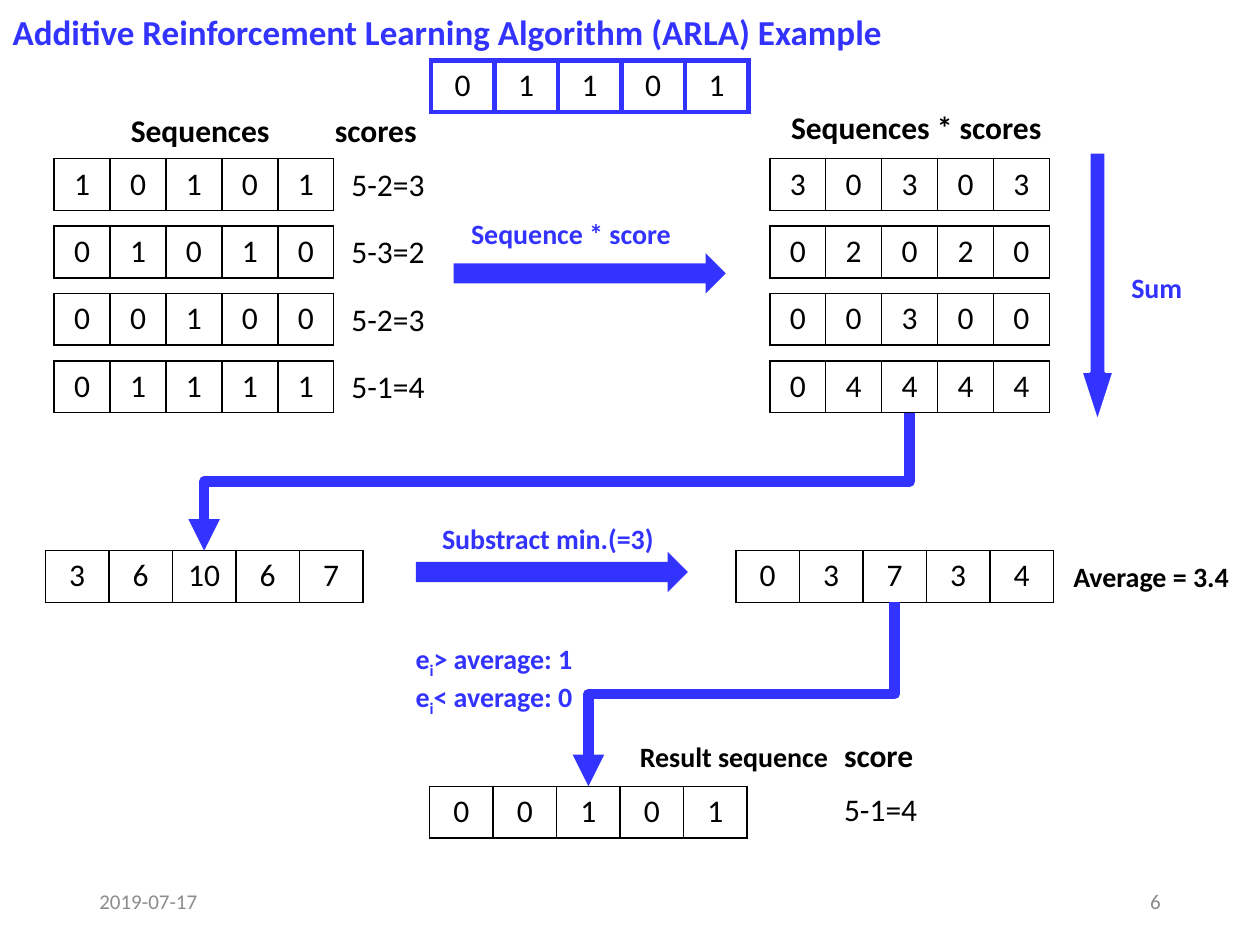
from lxml import etree
from pptx import Presentation
from pptx import util as u
from pptx.dml.color import RGBColor
from pptx.enum import shapes, text
from pptx.oxml import ns

BLUE = RGBColor(0x33, 0x33, 0xFF)
BLACK = RGBColor(0, 0, 0)
GRAY = RGBColor(0x8C, 0x8C, 0x8C)
WHITE = RGBColor(0xFF, 0xFF, 0xFF)

FONT = "Calibri"
ROW_H = 0.41
NARROW, WIDE = 2.22, 2.52  # widths of a five-bit sequence
FIRST_ROW, ROW_STEP = 1.26, 0.535
LEFT_COL, SCORE_COL, RIGHT_COL = 0.43, 2.69, 6.11
RESULT_COL, RESULT_ROW = 3.41, 6.24
MIDDLE_ROW = 4.37
SUM_COL, DIFF_COL = 0.36, 5.84

SEQUENCES = ["10101", "01010", "00100", "01111"]
SCORES = ["5-2=3", "5-3=2", "5-2=3", "5-1=4"]
PRODUCTS = ["30303", "02020", "00300", "04444"]


def sub(parent, tag, **attrs):
    return etree.SubElement(parent, ns.qn(tag), attrs)


def write(tf, content, size=18, color=BLACK, bold=False,
          align=text.PP_ALIGN.LEFT, anchor=text.MSO_ANCHOR.TOP, wrap=True):
    """Fill a text frame; every second part between bars is a subscript."""
    tf.word_wrap = wrap
    tf.vertical_anchor = anchor
    for i, line in enumerate(content.split("\n")):
        p = tf.add_paragraph() if i else tf.paragraphs[0]
        p.alignment = align
        for j, part in enumerate(line.split("|")):
            r = p.add_run()
            r.text = part
            f = r.font
            f.name, f.size, f.bold = FONT, u.Pt(size), bold
            f.color.rgb = color
            if j % 2:
                f._element.set("baseline", "-25000")


def add_label(s, content, x, y, w, h=0.4, **fmt):
    box = s.shapes.add_textbox(*map(u.Inches, (x, y, w, h)))
    write(box.text_frame, content, **fmt)


def set_borders(cell, color, width):
    tc_pr = cell._tc.get_or_add_tcPr()
    for side in "LRTB":
        ln = sub(tc_pr, f"a:ln{side}", w=str(u.Pt(width)))
        sub(sub(ln, "a:solidFill"), "a:srgbClr", val=str(color))


def add_sequence(s, values, x, y, w=WIDE, color=BLACK, border=1):
    frame = s.shapes.add_table(1, len(values), *map(u.Inches, (x, y, w, ROW_H)))
    table = frame.table
    table.first_row = table.horz_banding = False
    for col, value in enumerate(values):
        table.columns[col].width = u.Inches(w / len(values))
        cell = table.cell(0, col)
        set_borders(cell, color, border)
        cell.fill.background()
        write(cell.text_frame, value, align=text.PP_ALIGN.CENTER)


def add_block_arrow(s, x, y, w, h):
    sp = s.shapes.add_shape(shapes.MSO_SHAPE.RIGHT_ARROW,
                            *map(u.Inches, (x, y, w, h)))
    sp.shadow.inherit = False
    sp.fill.solid()
    sp.fill.fore_color.rgb = BLUE
    sp.line.fill.background()
    return sp


def add_sum_arrow(s):
    sp = add_block_arrow(s, 7.64, 2.15, 2.14, 0.26)
    sp.rotation = 90
    sp.adjustments[1] = 1.54
    sp.line.color.rgb = WHITE
    sp.line.width = u.Pt(1.5)


def add_drop_arrow(s, x1, y1, x2, y2):
    """Elbow that runs down, left and down again: a quarter-turned connector."""
    w, h = y2 - y1, x1 - x2
    left, top = (x1 + x2 - w) / 2, (y1 + y2 - h) / 2
    c = s.shapes.add_connector(shapes.MSO_CONNECTOR.ELBOW,
                               *map(u.Inches, (left, top, left + w, top + h)))
    c.line.color.rgb = BLUE
    c.line.width = u.Pt(6)
    sp_pr = c._element.spPr
    sp_pr.find(ns.qn("a:xfrm")).set("rot", str(90 * 60000))
    sub(sp_pr.find(ns.qn("a:ln")), "a:tailEnd", type="triangle")
    sub(sp_pr, "a:effectLst")


def add_title(s, content):
    title = s.shapes.title
    title.left, title.top, title.width, title.height = map(
        u.Inches, (0, 0.03, 7.16, 0.44))
    write(title.text_frame, content, size=20, color=BLUE, bold=True, wrap=False)
    title.text_frame.auto_size = text.MSO_AUTO_SIZE.NONE


def add_footer(s):
    fmt = dict(size=12, color=GRAY, anchor=text.MSO_ANCHOR.MIDDLE)
    add_label(s, "2019-07-17", 0.69, 6.95, 2.25, **fmt)
    add_label(s, "6", 7.06, 6.95, 2.25, align=text.PP_ALIGN.RIGHT, **fmt)


def add_scoring(s):
    add_sequence(s, "01101", 3.42, 0.48, color=BLUE, border=3)
    for i, (bits, score, product) in enumerate(zip(SEQUENCES, SCORES, PRODUCTS)):
        y = FIRST_ROW + i * ROW_STEP
        add_sequence(s, bits, LEFT_COL, y, NARROW)
        add_label(s, score, SCORE_COL, y, 0.83)
        add_sequence(s, product, RIGHT_COL, y, NARROW)


def add_reduction(s):
    add_sequence(s, ["3", "6", "10", "6", "7"], SUM_COL, MIDDLE_ROW)
    add_sequence(s, "03734", DIFF_COL, MIDDLE_ROW)
    add_sequence(s, "00101", RESULT_COL, RESULT_ROW)
    add_label(s, "5-1=4", 6.6, 6.22, 0.85)


def add_arrows(s):
    add_block_arrow(s, 3.6, 2.01, 2.16, 0.32)
    add_block_arrow(s, 3.3, 4.38, 2.16, 0.32)
    add_sum_arrow(s)
    add_drop_arrow(s, RIGHT_COL + NARROW / 2, FIRST_ROW + 3 * ROW_STEP + ROW_H,
                   SUM_COL + WIDE / 2, MIDDLE_ROW)
    add_drop_arrow(s, DIFF_COL + WIDE / 2, MIDDLE_ROW + ROW_H,
                   RESULT_COL + WIDE / 2, RESULT_ROW)


def add_captions(s):
    for content, x, y, w in [("Sequences", 0.94, 0.83, 1.36),
                             ("scores", 2.56, 0.83, 0.85),
                             ("Sequences * scores", 6.18, 0.81, 2.23),
                             ("score", 6.6, 5.79, 0.85)]:
        add_label(s, content, x, y, w, bold=True)
    for content, x, y, w, h, color in [
            ("Sequence * score", 3.64, 1.67, 1.95, 0.37, BLUE),
            ("Sum", 8.88, 2.1, 0.61, 0.37, BLUE),
            ("Substract min.(=3)", 3.41, 4.09, 1.95, 0.37, BLUE),
            ("e|i|> average: 1\ne|i|< average: 0", 3.2, 5.04, 1.47, 0.64, BLUE),
            ("Average = 3.4", 8.42, 4.39, 1.47, 0.37, BLACK),
            ("Result sequence", 4.98, 5.82, 1.72, 0.37, BLACK)]:
        add_label(s, content, x, y, w, h, size=16, color=color, bold=True)


def main():
    prs = Presentation()
    prs.slide_width, prs.slide_height = u.Inches(10), u.Inches(7.5)
    s = prs.slides.add_slide(prs.slide_layouts[5])
    add_title(s, "Additive Reinforcement Learning Algorithm (ARLA) Example")
    add_footer(s)
    add_scoring(s)
    add_reduction(s)
    add_arrows(s)
    add_captions(s)
    prs.save("out.pptx")


if __name__ == "__main__":
    main()
